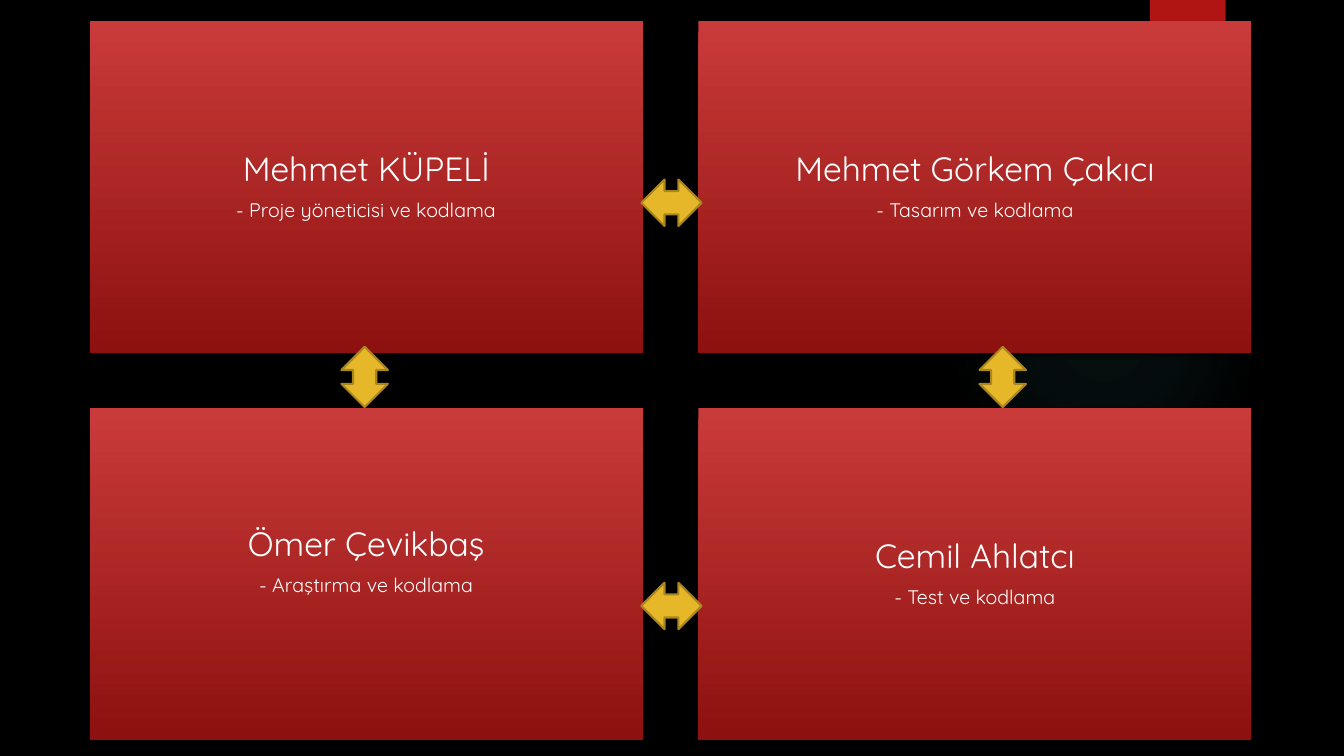
"""Build a slide of four team role cards joined by double arrows."""
from dataclasses import dataclass

from lxml import etree
from pptx import Presentation
from pptx.dml.color import RGBColor
from pptx.enum.shapes import MSO_SHAPE
from pptx.enum.text import MSO_ANCHOR, PP_ALIGN
from pptx.oxml import parse_xml
from pptx.oxml.ns import qn
from pptx.util import Cm, Pt

CENTER = PP_ALIGN.CENTER
MIDDLE = MSO_ANCHOR.MIDDLE
RECTANGLE = MSO_SHAPE.RECTANGLE
OVAL = MSO_SHAPE.OVAL
DOUBLE_ARROW = MSO_SHAPE.UP_DOWN_ARROW
DRAWING_NS = "http://schemas.openxmlformats.org/drawingml/2006/main"

TEAM = [
    {"name": "Mehmet KÜPELİ", "role": "- Proje yöneticisi ve kodlama", "bottom": 0.25},
    {"name": "Mehmet Görkem Çakıcı", "role": "- Tasarım ve kodlama", "bottom": 0.25},
    {"name": "Ömer Çevikbaş", "role": "- Araştırma ve kodlama", "bottom": 0.86},
    {"name": "Cemil Ahlatcı", "role": "- Test ve kodlama", "bottom": 0.25},
]
ARROWS = [
    {"center": (9.19, 9.5), "rotation": 0},
    {"center": (25.27, 9.5), "rotation": 0},
    {"center": (16.92, 5.11), "rotation": 90},
    {"center": (16.92, 15.27), "rotation": 90},
]

SLIDE_SIZE = (33.87, 19.05)
GLOW_BOX = (23.9, 4.65, 7.82, 7.82)
TAB_BOX = (28.98, 0, 1.91, 3.18)
GRID_ORIGIN = (2.26, 0.53)
GRID_STEP = (15.34, 9.75)
CARD_SIZE = (13.94, 8.36)
ARROW_SIZE = (1.17, 1.52)
INSET = 0.25
COLUMNS = 2


@dataclass(frozen=True)
class Theme:
    """Colours, font and type sizes."""
    background: str = "000000"
    glow: str = "50B9C1"
    tab: str = "B01513"
    card_top: str = "C93B3A"
    card_bottom: str = "8D110F"
    arrow: str = "E6B729"
    arrow_line: str = "AA871E"
    text: str = "FFFFFF"
    font: str = "Quicksand"
    name_size: int = 24
    role_size: int = 14


THEME = Theme()
GLOW_STOPS = [(0, 7), (36, 6), (69, 0)]


def color(value):
    return RGBColor.from_string(value)


def apply_format(target, values):
    for name, value in values.items():
        setattr(target, name, value)


def add_shape(page, kind, box, fill=None):
    shape = page.shapes.add_shape(kind, *(Cm(length) for length in box))
    shape.line.fill.background()
    shape.shadow.inherit = False
    if fill:
        shape.fill.solid()
        shape.fill.fore_color.rgb = color(fill)
    return shape


def add_shadow(shape):
    effects = shape._element.spPr.find(qn("a:effectLst"))
    effects.append(parse_xml(
        f'<a:outerShdw xmlns:a="{DRAWING_NS}" blurRad="{Pt(3)}" dist="{Pt(2)}" '
        'dir="5400000" rotWithShape="0"><a:srgbClr val="000000">'
        '<a:alpha val="45000"/></a:srgbClr></a:outerShdw>'))


def add_glow(page):
    glow = add_shape(page, OVAL, GLOW_BOX, THEME.glow)
    gradient = etree.Element(qn("a:gradFill"), rotWithShape="1")
    stops = etree.SubElement(gradient, qn("a:gsLst"))
    for position, opacity in GLOW_STOPS:
        stop = etree.SubElement(stops, qn("a:gs"), pos=str(position * 1000))
        tint = etree.SubElement(stop, qn("a:srgbClr"), val=THEME.glow)
        etree.SubElement(tint, qn("a:alpha"), val=str(opacity * 1000))
    path_fill = etree.SubElement(gradient, qn("a:path"), path="circle")
    sides = dict.fromkeys("ltrb", "50000")
    etree.SubElement(path_fill, qn("a:fillToRect"), **sides)
    properties = glow._element.spPr
    properties.replace(properties.find(qn("a:solidFill")), gradient)


def add_card(page, index, member):
    row, column = divmod(index, COLUMNS)
    left = GRID_ORIGIN[0] + column * GRID_STEP[0]
    top = GRID_ORIGIN[1] + row * GRID_STEP[1]
    card = add_shape(page, RECTANGLE, (left, top, *CARD_SIZE))
    card.fill.gradient()
    card.fill.gradient_angle = 270
    for stop, shade in zip(card.fill.gradient_stops, (THEME.card_top, THEME.card_bottom)):
        stop.color.rgb = color(shade)
    add_shadow(card)

    frame = card.text_frame
    apply_format(frame, {
        "word_wrap": True, "vertical_anchor": MIDDLE,
        "margin_left": Cm(INSET), "margin_right": Cm(INSET),
        "margin_top": Cm(INSET), "margin_bottom": Cm(member["bottom"]),
    })
    lines = [(member["name"], THEME.name_size), (member["role"], THEME.role_size)]
    for number, (words, size) in enumerate(lines):
        para = frame.add_paragraph() if number else frame.paragraphs[0]
        apply_format(para, {"alignment": CENTER, "line_spacing": 0.9,
                            "space_after": Pt(size * 0.35)})
        span = para.add_run()
        span.text = words
        apply_format(span.font, {"name": THEME.font, "size": Pt(size)})
        span.font.color.rgb = color(THEME.text)


def add_arrow(page, center, rotation):
    corner = [middle - size / 2 for middle, size in zip(center, ARROW_SIZE)]
    arrow = add_shape(page, DOUBLE_ARROW, (*corner, *ARROW_SIZE), THEME.arrow)
    arrow.rotation = rotation
    arrow.line.color.rgb = color(THEME.arrow_line)
    arrow.line.width = Pt(1.5)


def main():
    deck = Presentation()
    deck.slide_width, deck.slide_height = (Cm(length) for length in SLIDE_SIZE)
    page = deck.slides.add_slide(deck.slide_layouts[6])
    page.background.fill.solid()
    page.background.fill.fore_color.rgb = color(THEME.background)

    add_glow(page)
    add_shadow(add_shape(page, RECTANGLE, TAB_BOX, THEME.tab))
    for index, member in enumerate(TEAM):
        add_card(page, index, member)
    for arrow in ARROWS:
        add_arrow(page, **arrow)
    deck.save("out.pptx")


if __name__ == "__main__":
    main()
